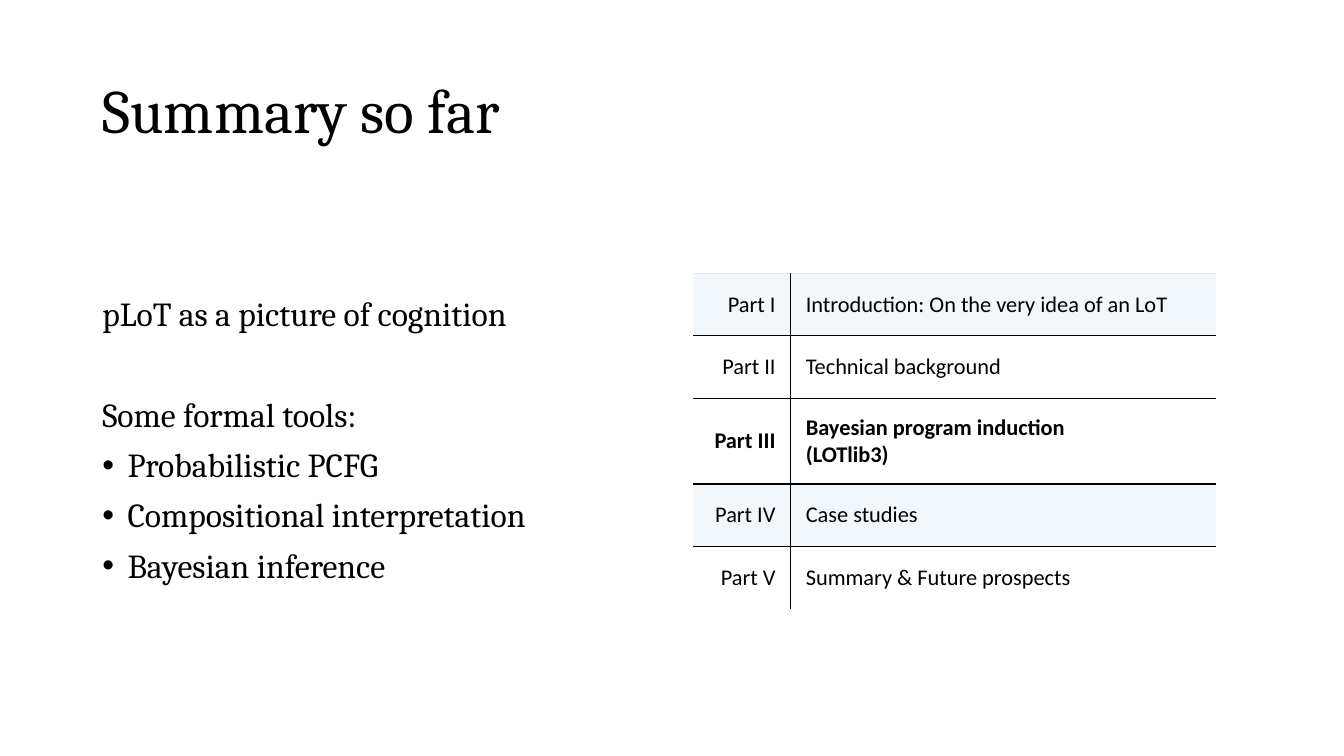
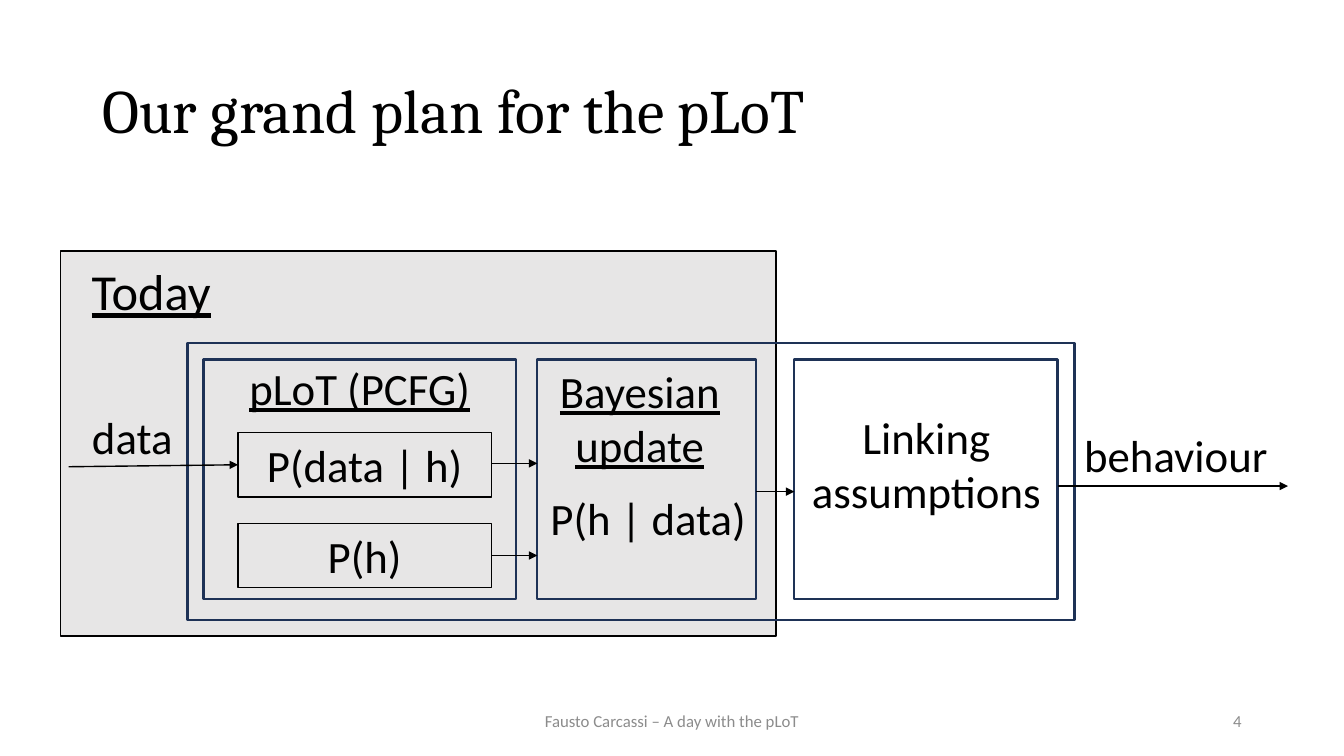
from lxml.etree import SubElement
from pptx import Presentation
from pptx.dml.color import RGBColor
from pptx.enum.shapes import MSO_CONNECTOR, MSO_SHAPE
from pptx.enum.text import MSO_ANCHOR, PP_ALIGN
from pptx.oxml.ns import qn
from pptx.util import Pt

BLACK, NAVY, GREY, FOOTER_GREY = "000000", "1E3256", "E7E6E6", "8C8C8C"
WHITE, PALE_BLUE, HAIRLINE = "FFFFFF", "F2F7FC", "E7E7E7"
SERIF, SANS = "Cambria", "Calibri"
LEFT, CENTER, RIGHT = PP_ALIGN.LEFT, PP_ALIGN.CENTER, PP_ALIGN.RIGHT
TOP, MIDDLE = MSO_ANCHOR.TOP, MSO_ANCHOR.MIDDLE

PARTS = [
    ("Part I", ["Introduction: On the very idea of an LoT"], PALE_BLUE),
    ("Part II", ["Technical background"], WHITE),
    ("Part III", ["Bayesian program induction", "(LOTlib3)"], WHITE),
    ("Part IV", ["Case studies"], PALE_BLUE),
    ("Part V", ["Summary & Future prospects"], WHITE),
]
CURRENT_PART = "Part III"


def color(value):
    """Turn a hex string into a colour."""
    return RGBColor.from_string(value)


def points(*lengths):
    """Turn numbers into lengths in points."""
    return [Pt(length) for length in lengths]


def add_run(paragraph, text, size, font=SANS, ink=BLACK, bold=False, underline=False):
    """Append one formatted run."""
    run = paragraph.add_run()
    run.text = text
    run.font.name, run.font.size = font, Pt(size)
    run.font.bold, run.font.underline = bold, underline
    run.font.color.rgb = color(ink)


def add_title_slide(presentation, title):
    """Add a title-only slide with the shared title style."""
    slide = presentation.slides.add_slide(presentation.slide_layouts[5])
    shape = slide.shapes.title
    shape.left, shape.top, shape.width, shape.height = points(66, 28.8, 828, 104.4)
    shape.text_frame.vertical_anchor = MIDDLE
    paragraph = shape.text_frame.paragraphs[0]
    paragraph.alignment, paragraph.line_spacing = LEFT, 0.9
    add_run(paragraph, title, 44, SERIF)
    return slide


def add_text_frame(slide, box, anchor):
    """Add a wrapping text box and return its frame."""
    frame = slide.shapes.add_textbox(*points(*box)).text_frame
    frame.word_wrap, frame.vertical_anchor = True, anchor
    return frame


def add_label(slide, box, text, size=32, align=CENTER, anchor=TOP, **style):
    """Add a one-paragraph label."""
    paragraph = add_text_frame(slide, box, anchor).paragraphs[0]
    paragraph.alignment = align
    add_run(paragraph, text, size, **style)


def add_footer(slide, text, number):
    """Add the footer line and the slide number."""
    style = {"size": 12, "anchor": MIDDLE, "ink": FOOTER_GREY}
    add_label(slide, (318, 500.4, 324, 28.8), text, **style)
    add_label(slide, (678, 500.4, 216, 28.8), number, align=RIGHT, **style)


def add_box(slide, box, text="", line=NAVY, weight=1.5, fill=None):
    """Add an outlined rectangle with optional fill and centred text."""
    shape = slide.shapes.add_shape(MSO_SHAPE.RECTANGLE, *points(*box))
    shape.shadow.inherit = False
    shape.line.color.rgb, shape.line.width = color(line), Pt(weight)
    if fill:
        shape.fill.solid()
        shape.fill.fore_color.rgb = color(fill)
    else:
        shape.fill.background()
    if text:
        shape.text_frame.vertical_anchor = MIDDLE
        paragraph = shape.text_frame.paragraphs[0]
        paragraph.alignment = CENTER
        add_run(paragraph, text, 32)


def add_arrow(slide, *ends):
    """Add a thin black arrow from start x, y to end x, y."""
    arrow = slide.shapes.add_connector(MSO_CONNECTOR.STRAIGHT, *points(*ends))
    arrow.line.color.rgb, arrow.line.width = color(BLACK), Pt(1)
    properties = arrow.element.spPr
    SubElement(properties.find(qn("a:ln")), qn("a:tailEnd"), type="triangle")
    SubElement(properties, qn("a:effectLst"))


def add_points(slide, box, items):
    """Add paragraphs given as text, space before and whether bulleted."""
    frame = add_text_frame(slide, box, MIDDLE)
    for index, (text, space, bulleted) in enumerate(items):
        paragraph = frame.add_paragraph() if index else frame.paragraphs[0]
        paragraph.line_spacing, paragraph.space_before = 0.9, Pt(space)
        if bulleted:
            properties = paragraph._p.get_or_add_pPr()
            properties.set("marL", str(Pt(18)))
            properties.set("indent", str(Pt(-18)))
            SubElement(properties, qn("a:buFont"), typeface="Arial")
            SubElement(properties, qn("a:buChar"), char="•")
        add_run(paragraph, text, 24, SERIF)


def set_borders(cell, borders):
    """Set the left, right, top and bottom borders as colour and width or None."""
    properties = cell._tc.get_or_add_tcPr()
    for side, border in zip("LRTB", borders):
        line = SubElement(properties, qn(f"a:ln{side}"))
        if border:
            line.set("w", str(Pt(border[1])))
            SubElement(SubElement(line, qn("a:solidFill")), qn("a:srgbClr"), val=border[0])
        else:
            SubElement(line, qn("a:noFill"))


def fill_cell(cell, lines, align, bold, fill, borders):
    """Format a table cell and write its lines."""
    set_borders(cell, borders)
    cell.fill.solid()
    cell.fill.fore_color.rgb = color(fill)
    cell.vertical_anchor = MIDDLE
    cell.margin_left = cell.margin_right = cell.margin_top = cell.margin_bottom = Pt(10.8)
    frame = cell.text_frame
    for index, line in enumerate(lines):
        paragraph = frame.add_paragraph() if index else frame.paragraphs[0]
        paragraph.alignment = align
        add_run(paragraph, line, 16, bold=bold)


def add_outline_table(slide):
    """Add the table of parts with the current part in bold."""
    frame = slide.shapes.add_table(len(PARTS), 2, *points(495, 195.1, 373.4, 240))
    table = frame.table
    table.first_row = table.horz_banding = False
    table.columns[0].width, table.columns[1].width = points(69.8, 303.6)
    rule = (BLACK, 1)
    for row, (part, lines, fill) in enumerate(PARTS):
        table.rows[row].height = Pt(44.7 if len(lines) == 1 else 61.2)
        above = rule if row else (HAIRLINE, 0.3)
        below = rule if row < len(PARTS) - 1 else None
        bold = part == CURRENT_PART
        fill_cell(table.cell(row, 0), [part], RIGHT, bold, fill, (None, rule, above, below))
        fill_cell(table.cell(row, 1), lines, LEFT, bold, fill, (rule, None, above, below))


def build_summary(presentation):
    """Build the summary slide."""
    slide = add_title_slide(presentation, "Summary so far")
    add_points(slide, (66, 144, 409.7, 342.7), [
        ("pLoT as a picture of cognition", 0, False),
        ("Some formal tools:", 46, False),
        ("Probabilistic PCFG", 10, True),
        ("Compositional interpretation", 10, True),
        ("Bayesian inference", 10, True),
    ])
    add_outline_table(slide)


def build_plan(presentation):
    """Build the diagram of the plan."""
    slide = add_title_slide(presentation, "Our grand plan for the pLoT")
    add_box(slide, (43.2, 179.3, 511.2, 275), line=BLACK, weight=1, fill=GREY)
    add_label(slide, (58.3, 182.2, 128, 51), "Today", 36, LEFT, underline=True)
    add_box(slide, (134, 245.3, 633.6, 197.5))
    for left, width in ((145.4, 223.2), (383.8, 156.4), (567.4, 188)):
        add_box(slide, (left, 256.8, width, 171.4))
    for top, text in ((309, "P(data | h)"), (373.8, "P(h)")):
        add_box(slide, (170, top, 181, 46), text, BLACK, 1)
    for box, text, underline in (
        ((145.4, 254.2, 223.2, 46), "pLoT (PCFG)", True),
        ((367, 256.3, 180, 85), "Bayesian update", True),
        ((375, 347, 176, 46), "P(h | data)", False),
        ((571.7, 289.4, 180, 85), "Linking assumptions", False),
        ((56, 289.4, 77, 46), "data", False),
        ((764, 301.7, 152, 46), "behaviour", False),
    ):
        add_label(slide, box, text, underline=underline)
    for ends in (
        (49, 333.4, 170, 332),
        (351, 331, 383.8, 331),
        (351, 396.8, 383.8, 396.8),
        (540.2, 351.2, 567.4, 351.2),
        (755.4, 347.2, 920, 347.2),
    ):
        add_arrow(slide, *ends)
    add_footer(slide, "Fausto Carcassi – A day with the pLoT", "4")


def main():
    """Build and save the presentation."""
    presentation = Presentation()
    presentation.slide_width, presentation.slide_height = points(960, 540)
    build_summary(presentation)
    build_plan(presentation)
    presentation.save("out.pptx")


if __name__ == "__main__":
    main()
